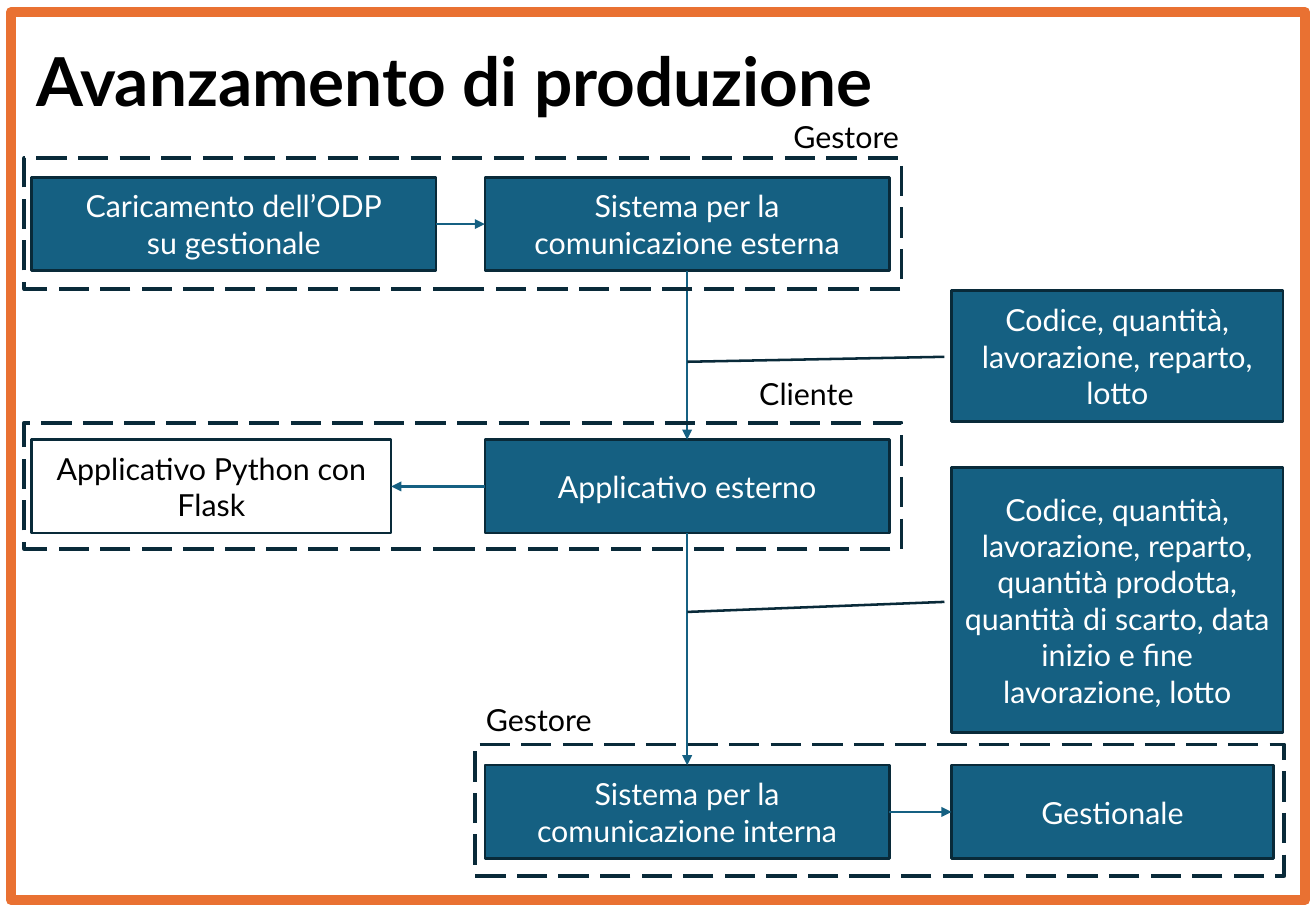
import pptx
import pptx.dml.color
import pptx.enum.dml
import pptx.enum.shapes
import pptx.enum.text
import pptx.oxml
import pptx.oxml.ns
import pptx.util
from pptx.util import Inches

THEME = {
    "font": "Lato", "title_size": 40, "text_size": 18,
    "black": "000000", "white": "FFFFFF", "blue": "156082",
    "navy": "092A39", "orange": "E97132",
    "border_width": 6, "line_width": 1.5, "frame_width": 2.25,
}
SLIDE_SIZE = (10.83, 7.5)
BORDER = (0.09, 0.1, 10.65, 7.31)
TITLE = ("Avanzamento di produzione", (0.2, 0.27, 10.09, 0.77))

LEFT, CENTRE, RIGHT = 0.26, 3.99, 7.83
ROWS = (1.46, 3.62, 6.3)
STEP_WIDTH, STEP_HEIGHT = 3.33, 0.77
CALLOUT_WIDTH = 2.73
CALLOUT_LINE = (0.507, -0.021, 0.545, -0.796)

STEPS = {
    "load": ("Caricamento dell’ODP\nsu gestionale", LEFT, 0, STEP_WIDTH, "blue"),
    "outbound": ("Sistema per la comunicazione esterna", CENTRE, 0, STEP_WIDTH, "blue"),
    "external": ("Applicativo esterno", CENTRE, 1, STEP_WIDTH, "blue"),
    "inbound": ("Sistema per la comunicazione interna", CENTRE, 2, STEP_WIDTH, "blue"),
    "flask": ("Applicativo Python con Flask", LEFT, 1, 2.96, None),
    "management": ("Gestionale", RIGHT, 2, 2.65, "blue"),
}
TOP, WEST, BOTTOM, EAST = range(4)
ARROWS = [
    ("outbound", BOTTOM, "external", TOP),
    ("external", BOTTOM, "inbound", TOP),
    ("external", WEST, "flask", EAST),
    ("load", EAST, "outbound", WEST),
    ("inbound", EAST, "management", WEST),
]
FRAMES = [
    ("Gestore", (6.43, 0.92, 1.09, 0.4), (0.2, 1.3, 7.22, 1.08)),
    ("Cliente", (6.15, 3.04, 1.27, 0.4), (0.2, 3.48, 7.22, 1.04)),
    ("Gestore", (3.9, 5.72, 1.09, 0.4), (3.91, 6.13, 6.66, 1.08)),
]
CALLOUTS = [
    ("Codice, quantità, lavorazione, reparto, lotto", 2.39, 1.08),
    ("Codice, quantità, lavorazione, reparto, quantità prodotta, "
     "quantità di scarto, data inizio e fine lavorazione, lotto", 3.85, 2.18),
]


def color(name):
    return pptx.dml.color.RGBColor.from_string(THEME[name])


def write(shape, text, ink, size="text_size", bold=False, align=None):
    frame = shape.text_frame
    frame.word_wrap = True
    frame.text = text
    for para in frame.paragraphs:
        para.alignment = align
        for run in para.runs:
            run.font.name = THEME["font"]
            run.font.size = pptx.util.Pt(THEME[size])
            run.font.bold = bold
            run.font.color.rgb = color(ink)


def add_label(page, text, place, **style):
    box = page.shapes.add_textbox(*map(Inches, place))
    write(box, text, "black", **style)


def add_outline(page, place, line="navy", width="line_width", fill=None,
                kind=pptx.enum.shapes.MSO_SHAPE.RECTANGLE):
    shape = page.shapes.add_shape(kind, *map(Inches, place))
    shape.shadow.inherit = False
    if fill:
        shape.fill.solid()
        shape.fill.fore_color.rgb = color(fill)
    else:
        shape.fill.background()
    shape.line.color.rgb = color(line)
    shape.line.width = pptx.util.Pt(THEME[width])
    return shape


def add_box(page, text, place, fill, **style):
    box = add_outline(page, place, fill=fill, **style)
    write(box, text, "white" if fill else "black",
          align=pptx.enum.text.PP_ALIGN.CENTER)
    box.text_frame.vertical_anchor = pptx.enum.text.MSO_ANCHOR.MIDDLE
    return box


def add_arrow(page, start, start_site, end, end_site):
    arrow = page.shapes.add_connector(
        pptx.enum.shapes.MSO_CONNECTOR.STRAIGHT, 0, 0, 0, 0)
    arrow.begin_connect(start, start_site)
    arrow.end_connect(end, end_site)
    arrow.line.color.rgb = color("blue")
    arrow.line.width = pptx.util.Pt(THEME["line_width"])
    head = pptx.oxml.ns.qn("a:tailEnd")
    line = arrow.line._get_or_add_ln()
    line.append(line.makeelement(head, {"type": "triangle"}))
    properties = arrow._element.spPr
    properties.append(properties.makeelement(pptx.oxml.ns.qn("a:effectLst"), {}))


def main():
    deck = pptx.Presentation()
    deck.slide_width, deck.slide_height = map(Inches, SLIDE_SIZE)
    page = deck.slides.add_slide(deck.slide_layouts[6])
    add_outline(page, BORDER, "orange", "border_width")
    title, place = TITLE
    add_label(page, title, place, size="title_size", bold=True)

    steps = {}
    for name, (text, left, row, width, fill) in STEPS.items():
        place = (left, ROWS[row], width, STEP_HEIGHT)
        steps[name] = add_box(page, text, place, fill)
    for start, start_site, end, end_site in ARROWS:
        add_arrow(page, steps[start], start_site, steps[end], end_site)

    for text, label_place, frame_place in FRAMES:
        frame = add_outline(page, frame_place, width="frame_width")
        frame.line.dash_style = pptx.enum.dml.MSO_LINE.LONG_DASH
        add_label(page, text, label_place)

    for text, top, height in CALLOUTS:
        callout = add_box(page, text, (RIGHT, top, CALLOUT_WIDTH, height), "blue",
                          kind=pptx.enum.shapes.MSO_SHAPE.LINE_CALLOUT_1)
        for index, value in enumerate(CALLOUT_LINE):
            callout.adjustments[index] = value

    deck.save("out.pptx")


if __name__ == "__main__":
    main()
